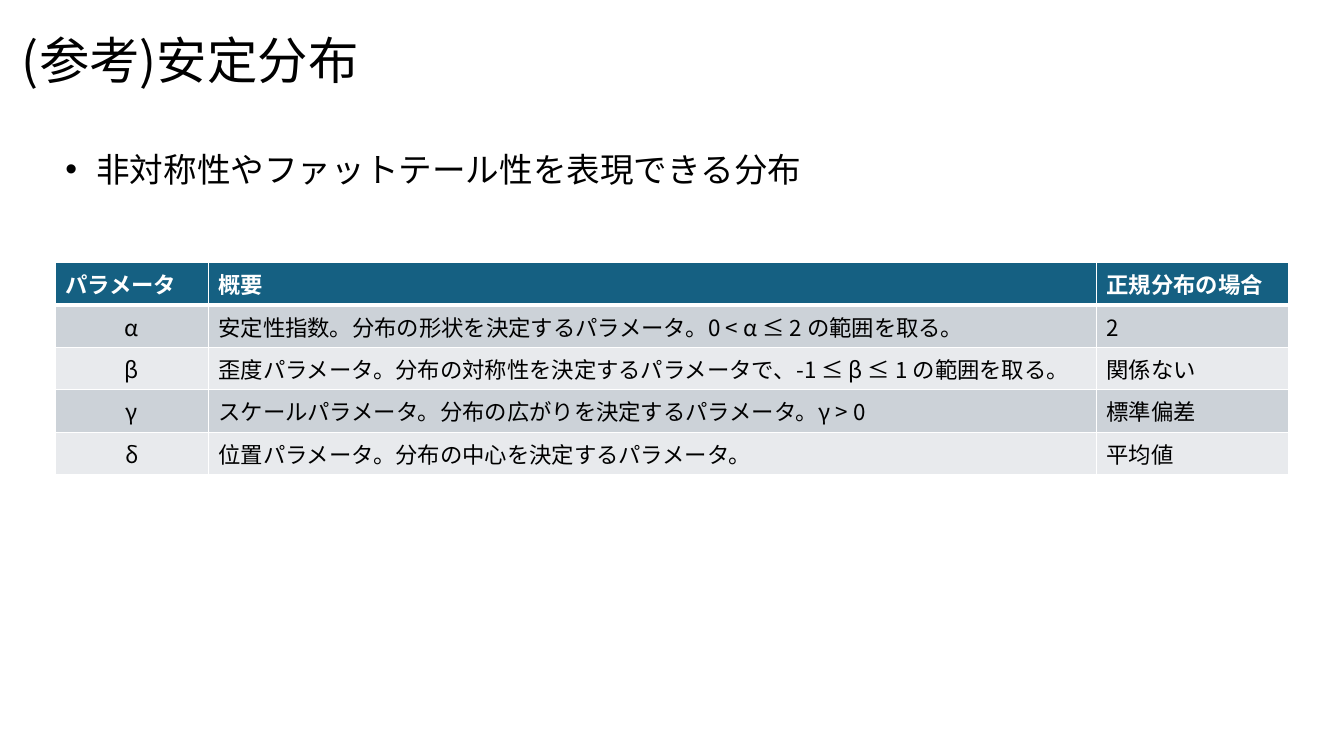
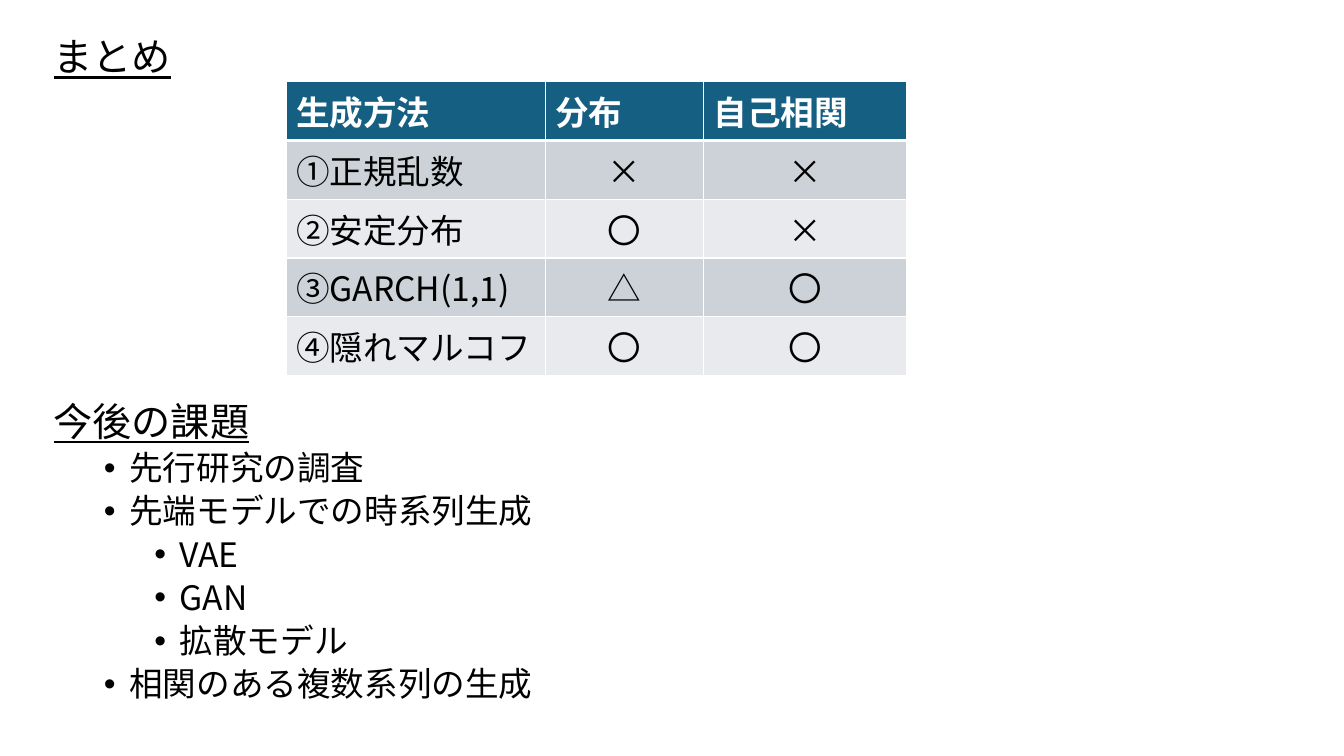
from lxml import etree
from pptx import Presentation
from pptx.dml.color import RGBColor
from pptx.enum import text
from pptx.oxml.ns import qn
from pptx.util import Cm, Pt

# Shared style
FONT = "Noto Sans CJK JP"
BLACK, WHITE, HEADER = "000000", "FFFFFF", "156082"
BANDS = ("CCD2D8", "E8EAED")
LEFT, CENTER = text.PP_ALIGN.LEFT, text.PP_ALIGN.CENTER

# Content: boxes are left, top, width, height in cm
STABLE_TITLE = dict(words="(参考)安定分布", box=(0.3, 0.36, 29.21, 2.46), size=36)
STABLE_POINT = dict(
    box=(1.4, 3.63, 28.12, 1.27),
    lines=[dict(words="非対称性やファットテール性を表現できる分布", size=24, indent=(0.78, 0.78))],
)
PARAMETERS = dict(
    at=(1.39, 6.62), columns=(3.86, 22.38, 4.85), row_height=1.03, size=16,
    aligns=(CENTER, LEFT, LEFT),
    rows=[
        ("パラメータ", "概要", "正規分布の場合"),
        ("α", "安定性指数。分布の形状を決定するパラメータ。0 < α ≤ 2 の範囲を取る。", "2"),
        ("β", "歪度パラメータ。分布の対称性を決定するパラメータで、-1 ≤ β ≤ 1 の範囲を取る。", "関係ない"),
        ("γ", "スケールパラメータ。分布の広がりを決定するパラメータ。γ > 0", "標準偏差"),
        ("δ", "位置パラメータ。分布の中心を決定するパラメータ。", "平均値"),
    ],
)

SUMMARY_TITLE = dict(words="まとめ", box=(1.1, 0.38, 12.75, 2.21), size=28, underline=True)
METHODS = dict(
    at=(7.21, 2.06), columns=(6.53, 3.99, 5.11), row_height=1.48, size=24,
    aligns=(LEFT, CENTER, CENTER),
    rows=[
        ("生成方法", "分布", "自己相関"),
        ("①正規乱数", "×", "×"),
        ("②安定分布", "〇", "×"),
        ("③GARCH(1,1)", "△", "〇"),
        ("④隠れマルコフ", "〇", "〇"),
    ],
)
TOPIC = dict(size=24, level=1, indent=(1.91, 0.64))
SUBTOPIC = dict(size=24, level=2, indent=(3.18, 0.64))
FUTURE_WORK = dict(
    box=(1.1, 10.01, 31.17, 8.1), spacing=0.9, before=5,
    lines=[
        dict(words="今後の課題", size=28, underline=True),
        dict(words="先行研究の調査", **TOPIC),
        dict(words="先端モデルでの時系列生成", **TOPIC),
        dict(words="VAE", **SUBTOPIC),
        dict(words="GAN", **SUBTOPIC),
        dict(words="拡散モデル", **SUBTOPIC),
        dict(words="相関のある複数系列の生成", **TOPIC),
    ],
)


def rgb(value):
    return RGBColor.from_string(value)


def write(paragraph, words, size, color=BLACK, bold=False, underline=False,
          align=LEFT, level=0, indent=None):
    paragraph.text = words
    paragraph.alignment = align
    paragraph.level = level
    if indent:
        margin, hanging = indent
        props = paragraph._p.get_or_add_pPr()
        props.set("marL", str(Cm(margin)))
        props.set("indent", str(-Cm(hanging)))
        etree.SubElement(props, qn("a:buFont"), typeface="Arial")
        etree.SubElement(props, qn("a:buChar"), char="•")
    font = paragraph.font
    font.name, font.size = FONT, Pt(size)
    font.bold, font.underline = bold, underline
    font.color.rgb = rgb(color)
    # East Asian characters take their own typeface
    for run in paragraph.runs:
        run.font.name = FONT
        etree.SubElement(run.font._element, qn("a:ea"), typeface=FONT)


def add_titled_slide(deck, words, box, **style):
    slide = deck.slides.add_slide(deck.slide_layouts[5])
    title = slide.shapes.title
    title.left, title.top, title.width, title.height = map(Cm, box)
    frame = title.text_frame
    frame.auto_size = text.MSO_AUTO_SIZE.NONE
    frame.vertical_anchor = text.MSO_ANCHOR.MIDDLE
    write(frame.paragraphs[0], words, **style)
    frame.paragraphs[0].line_spacing = 0.9
    return slide


def add_lines(slide, box, lines, spacing=1.0, before=0):
    frame = slide.shapes.add_textbox(*map(Cm, box)).text_frame
    frame.word_wrap = True
    for index, line in enumerate(lines):
        paragraph = frame.add_paragraph() if index else frame.paragraphs[0]
        write(paragraph, **line)
        paragraph.line_spacing = spacing
        paragraph.space_before = Pt(before if index else 0)


def add_border(cell, side, width):
    line = etree.SubElement(cell._tc.get_or_add_tcPr(), qn("a:ln" + side), w=str(Pt(width)))
    fill = etree.SubElement(line, qn("a:solidFill"))
    etree.SubElement(fill, qn("a:srgbClr"), val=WHITE)


def add_grid(slide, at, columns, row_height, size, aligns, rows):
    grid = slide.shapes.add_table(
        len(rows), len(columns), *map(Cm, at),
        Cm(sum(columns)), Cm(row_height * len(rows))).table
    for column, width in zip(grid.columns, columns):
        column.width = Cm(width)
    for r, row in enumerate(rows):
        grid.rows[r].height = Cm(row_height)
        is_header = r == 0
        for c, words in enumerate(row):
            cell = grid.cell(r, c)
            for side in "LRTB":
                thick = (is_header and side == "B") or (r == 1 and side == "T")
                add_border(cell, side, 3 if thick else 1)
            cell.fill.solid()
            cell.fill.fore_color.rgb = rgb(HEADER if is_header else BANDS[(r - 1) % 2])
            write(cell.text_frame.paragraphs[0], words, size,
                  color=WHITE if is_header else BLACK, bold=is_header,
                  align=LEFT if is_header else aligns[c])


def main():
    deck = Presentation()
    deck.slide_width, deck.slide_height = Cm(33.87), Cm(19.05)

    # Stable distribution
    stable = add_titled_slide(deck, **STABLE_TITLE)
    add_grid(stable, **PARAMETERS)
    add_lines(stable, **STABLE_POINT)

    # Summary and future work
    summary = add_titled_slide(deck, **SUMMARY_TITLE)
    add_lines(summary, **FUTURE_WORK)
    add_grid(summary, **METHODS)

    deck.save("out.pptx")


if __name__ == "__main__":
    main()
